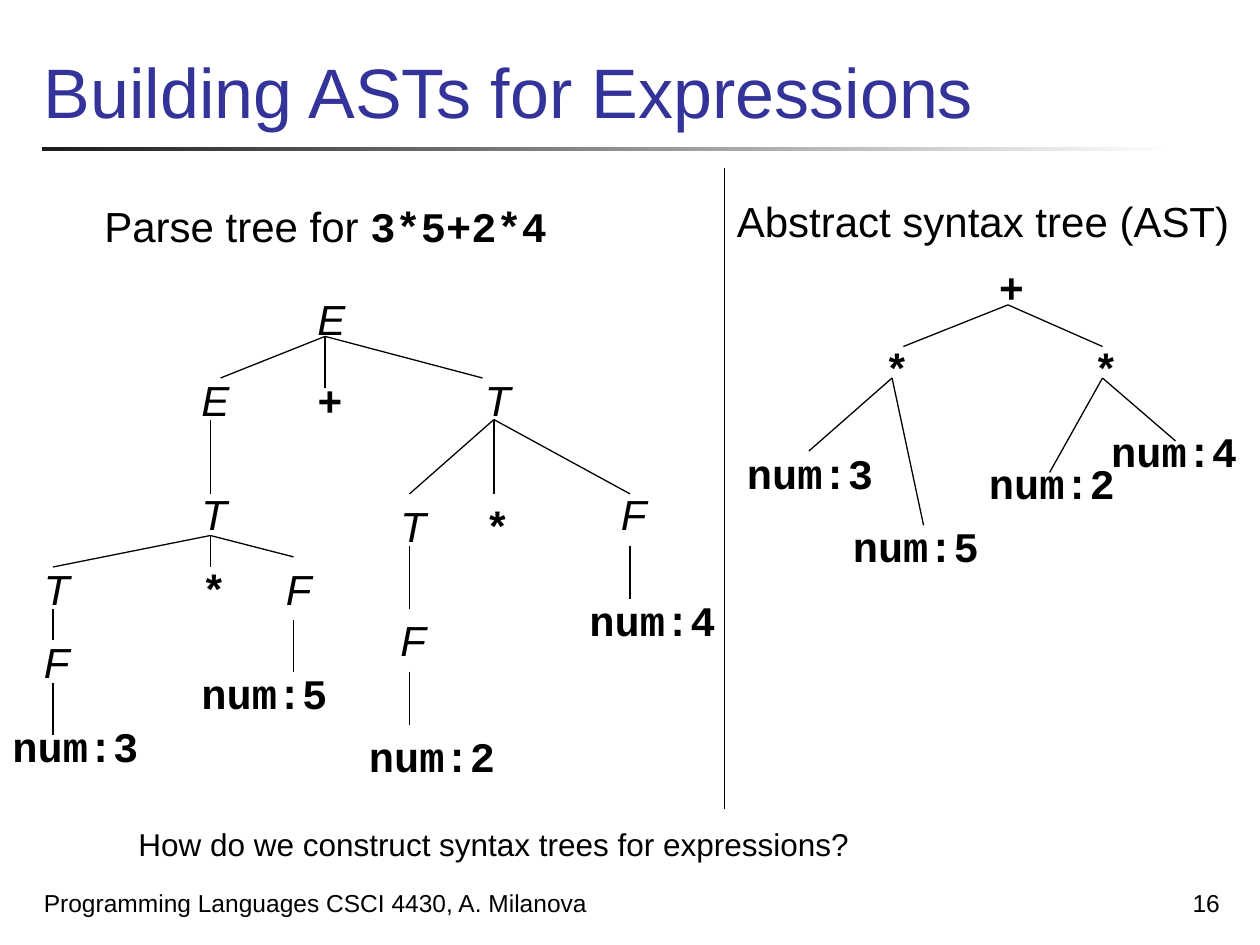
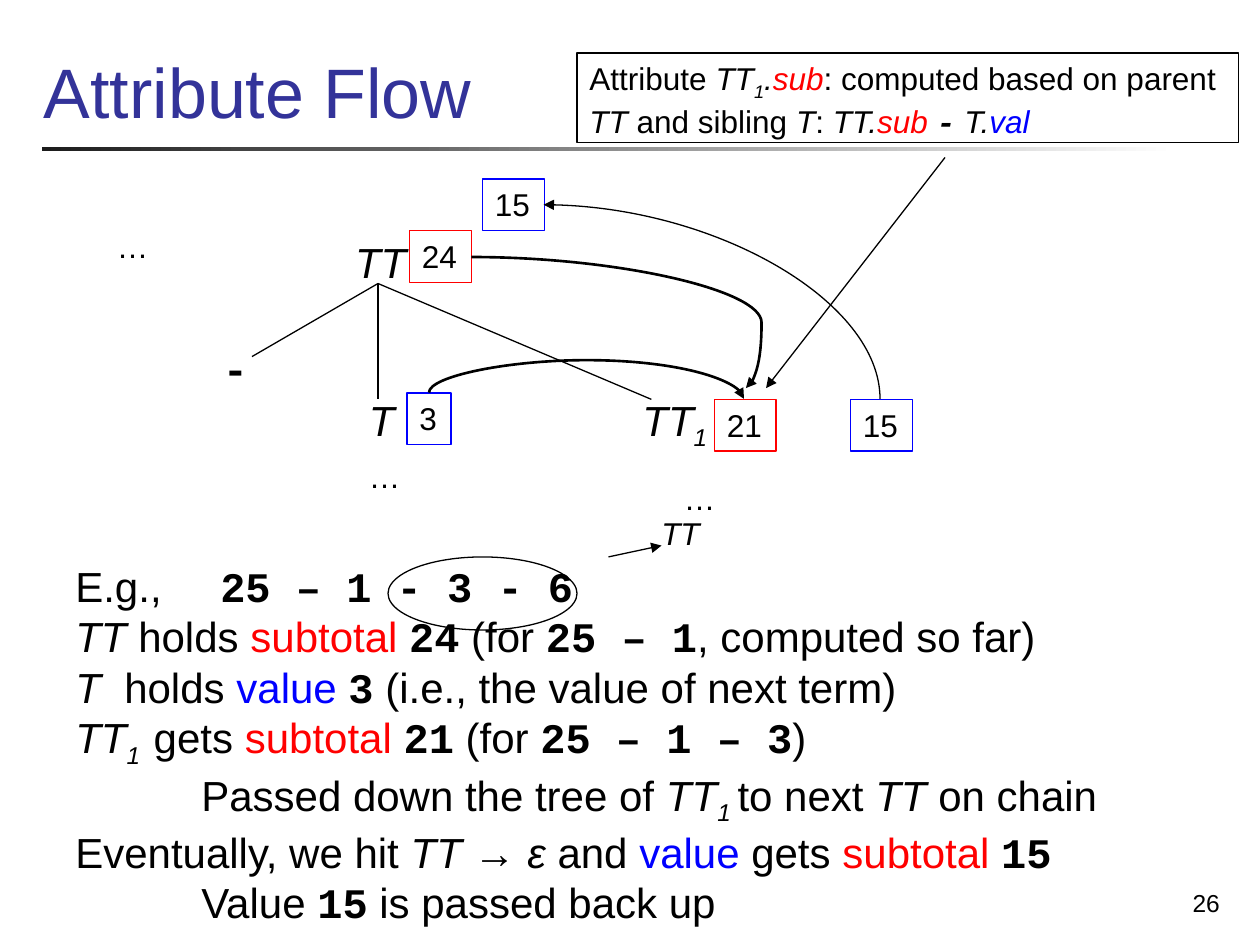
"""Build two slides on syntax trees and attribute flow."""
from dataclasses import dataclass

from lxml import etree
from pptx import Presentation
from pptx.dml.color import RGBColor
from pptx.enum import shapes, text
from pptx.oxml import ns
from pptx.util import Inches, Pt

BLACK, RED, BLUE, TITLE, RULE, WHITE = "000000", "FF0000", "0000FF", "333399", "1C1C1C", "FFFFFF"
SANS, CODE = "Arial", "Courier New"
LABEL_WIDTHS = {"E": 0.51, "T": 0.49, "F": 0.48, "+": 0.4, "*": 0.4, "-": 0.4, "TT": 0.7}
NUMBER_WIDTH = 1.21

Point = tuple[float, float]


@dataclass(frozen=True)
class Span:
    """A piece of text with its look."""
    words: str
    italic: bool = False
    code: bool = False
    sub: bool = False
    color: str = BLACK


@dataclass(frozen=True)
class Line:
    """A paragraph of spans with its indent and optional tab stop."""
    spans: list[Span]
    indent: float = 0
    tab: float = 0


@dataclass(frozen=True)
class Area:
    """A rectangle in inches."""
    left: float
    top: float
    width: float
    height: float

    def lengths(self) -> list[int]:
        """Return the four lengths for python-pptx."""
        return [Inches(side) for side in (self.left, self.top, self.width, self.height)]


@dataclass(frozen=True)
class Node:
    """A tree label at its top left corner."""
    label: str
    left: float
    top: float


@dataclass(frozen=True)
class Fan:
    """Branches from one point to several ends."""
    start: Point
    ends: list[Point]


@dataclass(frozen=True)
class ValueBox:
    """A framed attribute value."""
    value: str
    area: Area
    color: str


@dataclass(frozen=True)
class Curve:
    """A curved arrow in its unrotated frame."""
    area: Area
    preset: str
    weight: float
    turn: int = 0
    flip: str = ""
    bend: int = 0


def plain(words: str) -> Span:
    """Return upright black text."""
    return Span(words)


def slanted(words: str, color: str = BLACK) -> Span:
    """Return italic text."""
    return Span(words, italic=True, color=color)


def code(words: str) -> Span:
    """Return bold monospaced text."""
    return Span(words, code=True)


def index(words: str) -> Span:
    """Return an italic subscript."""
    return Span(words, italic=True, sub=True)


def rgb(value: str) -> RGBColor:
    """Turn a hex string into a colour."""
    return RGBColor.from_string(value)


def fill_text(shape, lines: list[Line], size: float, wrap: bool = False, grow: bool = True,
              anchor=text.MSO_ANCHOR.TOP, align=text.PP_ALIGN.LEFT) -> None:
    """Write formatted lines into a shape."""
    frame = shape.text_frame
    frame.word_wrap = wrap
    frame.auto_size = text.MSO_AUTO_SIZE.SHAPE_TO_FIT_TEXT if grow else text.MSO_AUTO_SIZE.NONE
    frame.vertical_anchor = anchor
    for number, line in enumerate(lines):
        para = frame.add_paragraph() if number else frame.paragraphs[0]
        para.alignment = align
        properties = para._p.get_or_add_pPr()
        if line.indent:
            properties.set("marL", str(Inches(line.indent)))
            properties.set("indent", "0")
        if line.tab:
            stops = etree.SubElement(properties, ns.qn("a:tabLst"))
            etree.SubElement(stops, ns.qn("a:tab"), pos=str(Inches(line.tab)), algn="l")
        for span in line.spans:
            run = para.add_run()
            run.text = span.words
            font = run.font
            font.name = CODE if span.code else SANS
            font.size, font.bold, font.italic = Pt(size), span.code, span.italic
            font.color.rgb = rgb(span.color)
            if span.sub:
                font._element.set("baseline", "-25000")


def add_text(page, area: Area, spans: list[Span], size: float, **options) -> None:
    """Add a one-paragraph text box."""
    fill_text(page.shapes.add_textbox(*area.lengths()), [Line(spans)], size, **options)


def add_outline(page, area: Area, color: str, kind=shapes.MSO_SHAPE.RECTANGLE):
    """Add an unfilled outlined shape."""
    shape = page.shapes.add_shape(kind, *area.lengths())
    shape.shadow.inherit = False
    shape.fill.background()
    shape.line.color.rgb = rgb(color)
    shape.line.width = Pt(0.75)
    return shape


def add_line(page, start: Point, end: Point, arrow: bool = False, weight: float = 0.75,
             kind=shapes.MSO_CONNECTOR.STRAIGHT):
    """Add a black connector, with an arrowhead if asked."""
    line = page.shapes.add_connector(kind, *[Inches(side) for side in (*start, *end)])
    line.line.color.rgb = rgb(BLACK)
    line.line.width = Pt(weight)
    if arrow:
        etree.SubElement(line.line._get_or_add_ln(), ns.qn("a:tailEnd"), type="triangle")
    etree.SubElement(line._element.spPr, ns.qn("a:effectLst"))
    return line


def add_curve(page, curve: Curve) -> None:
    """Add a curved arrow."""
    area = curve.area
    line = add_line(page, (area.left, area.top), (area.left + area.width, area.top + area.height),
                    True, curve.weight, shapes.MSO_CONNECTOR.CURVE)
    properties = line._element.spPr
    frame = properties.find(ns.qn("a:xfrm"))
    frame.set("rot", str(curve.turn * 60000))
    if curve.flip:
        frame.set(curve.flip, "1")
    geometry = properties.find(ns.qn("a:prstGeom"))
    geometry.set("prst", curve.preset)
    if curve.bend:
        guides = geometry.find(ns.qn("a:avLst"))
        etree.SubElement(guides, ns.qn("a:gd"), name="adj1", fmla=f"val {curve.bend}")


def add_tree(page, nodes: list[Node], fans: list[Fan]) -> None:
    """Draw the labels and branches of a tree."""
    for node in nodes:
        span = slanted(node.label) if node.label.isalpha() else code(node.label)
        width = LABEL_WIDTHS.get(node.label, NUMBER_WIDTH)
        add_text(page, Area(node.left, node.top, width, 0.51), [span], 24)
    for fan in fans:
        for end in fan.ends:
            add_line(page, fan.start, end)


def add_page(deck, title: str, number: str):
    """Add a slide with the shared title, rule and page number."""
    page = deck.slides.add_slide(deck.slide_layouts[6])
    rule = page.shapes.add_shape(shapes.MSO_SHAPE.RECTANGLE, *Area(0.33, 1.17, 9, 0.03).lengths())
    rule.shadow.inherit = False
    rule.line.fill.background()
    rule.fill.gradient()
    rule.fill.gradient_angle = 0
    for stop, color in zip(rule.fill.gradient_stops, (RULE, WHITE)):
        stop.color.rgb = rgb(color)
    bottom = {"wrap": True, "grow": False, "anchor": text.MSO_ANCHOR.BOTTOM}
    add_text(page, Area(0.25, 0, 9.52, 1.1), [Span(title, color=TITLE)], 40, **bottom)
    add_text(page, Area(7.7, 6.83, 2.08, 0.5), [plain(number)], 14,
             align=text.PP_ALIGN.RIGHT, **bottom)
    return page


def build_expressions(deck) -> None:
    """Build the slide that compares a parse tree with an AST."""
    page = add_page(deck, "Building ASTs for Expressions", "16")
    add_text(page, Area(0.25, 6.83, 5.17, 0.5),
             [plain("Programming Languages CSCI 4430, A. Milanova")], 14,
             wrap=True, grow=False, anchor=text.MSO_ANCHOR.BOTTOM)
    parse_nodes = [
        Node("E", 2.42, 2.28), Node("E", 1.5, 2.92), Node("+", 2.42, 2.92), Node("T", 3.75, 2.92),
        Node("T", 1.5, 3.83), Node("T", 3.08, 3.92), Node("*", 3.75, 3.92), Node("F", 4.83, 3.83),
        Node("T", 0.25, 4.42), Node("*", 1.5, 4.42), Node("F", 2.17, 4.42), Node("F", 0.25, 5),
        Node("F", 3.08, 4.83), Node("num:3", 0, 5.67), Node("num:5", 1.5, 5.25),
        Node("num:2", 2.83, 5.75), Node("num:4", 4.58, 4.67),
    ]
    parse_fans = [
        Fan((2.58, 2.67), [(1.75, 3), (2.58, 3.08), (3.83, 3)]),
        Fan((1.67, 3.33), [(1.67, 3.92)]),
        Fan((1.67, 4.25), [(0.42, 4.5), (1.67, 4.5), (2.33, 4.42)]),
        Fan((3.92, 3.33), [(3.25, 3.92), (3.92, 3.92), (5, 3.92)]),
        Fan((0.42, 4.83), [(0.42, 5.08)]),
        Fan((0.42, 5.42), [(0.42, 5.83)]),
        Fan((2.33, 4.92), [(2.33, 5.33)]),
        Fan((3.25, 4.33), [(3.25, 4.83)]),
        Fan((3.25, 5.33), [(3.25, 5.75)]),
        Fan((5, 4.33), [(5, 4.75)]),
    ]
    syntax_nodes = [
        Node("+", 7.83, 2.03), Node("*", 6.92, 2.67), Node("*", 8.58, 2.67),
        Node("num:3", 5.83, 3.5), Node("num:5", 6.67, 4.08),
        Node("num:2", 7.75, 3.58), Node("num:4", 8.72, 3.33),
    ]
    syntax_fans = [
        Fan((8, 2.42), [(7.17, 2.75), (8.75, 2.75)]),
        Fan((7.08, 3), [(6.42, 3.58), (7.33, 4.17)]),
        Fan((8.75, 3), [(8.33, 3.75), (9.33, 3.5)]),
    ]
    add_tree(page, parse_nodes, parse_fans)
    add_tree(page, syntax_nodes, syntax_fans)
    add_line(page, (5.75, 1.33), (5.75, 6.42))
    add_text(page, Area(0.73, 1.54, 3.75, 0.51), [plain("Parse tree for "), code("3*5+2*4")], 24)
    add_text(page, Area(5.75, 1.5, 4.26, 0.51), [plain("Abstract syntax tree (AST)")], 24)
    add_text(page, Area(1, 6.5, 5.9, 0.4),
             [plain("How do we construct syntax trees for expressions?")], 18)


def build_flow(deck) -> None:
    """Build the slide that traces attribute values through a tree."""
    page = add_page(deck, "Attribute Flow", "26")
    add_tree(page, [Node("TT", 2.72, 1.83), Node("T", 2.83, 3.08), Node("-", 1.67, 2.67)],
             [Fan((3, 2.25), [(2, 2.83), (3, 3.17), (5.17, 3.17)])])
    add_text(page, Area(5, 3.08, 0.81, 0.51), [slanted("TT"), index("1")], 24)
    subtotal = Span("subtotal ", color=RED)
    story = [
        Line([plain("E.g.,\t"), code("25 – 1 - 3 - 6")], tab=1.15),
        Line([slanted("TT"), plain(" holds "), subtotal, code("24"), plain(" (for "),
              code("25 – 1"), plain(", computed so far)")]),
        Line([slanted("T"), plain("  holds "), Span("value ", color=BLUE), code("3"),
              plain(" (i.e., the value of next term)")]),
        Line([slanted("TT"), index("1  "), plain("gets "), subtotal, code("21"), plain(" (for "),
              code("25 – 1 – 3"), plain(")")]),
        Line([plain("Passed down the tree of "), slanted("TT"), index("1 "), plain("to next "),
              slanted("TT"), plain(" on chain")], indent=1),
        Line([plain("Eventually, we hit "), slanted("TT → ε"), plain(" and "),
              Span("value", color=BLUE), plain(" gets "), subtotal, code("15")]),
        Line([plain("Value "), code("15"), plain(" is passed back up")], indent=1),
    ]
    body = page.shapes.add_textbox(*Area(0.5, 4.4, 9.17, 2.93).lengths())
    fill_text(body, story, 24, wrap=True)
    for left, top in [(0.83, 1.75), (2.83, 3.58), (5.33, 3.75)]:
        add_text(page, Area(left, top, 0.45, 0.4), [plain("…")], 18)
    for box in [
        ValueBox("3", Area(3.23, 3.12, 0.35, 0.41), BLUE),
        ValueBox("24", Area(3.25, 1.83, 0.49, 0.41), RED),
        ValueBox("21", Area(5.67, 3.17, 0.49, 0.41), RED),
        ValueBox("15", Area(6.75, 3.17, 0.49, 0.41), BLUE),
        ValueBox("15", Area(3.83, 1.42, 0.49, 0.41), BLUE),
    ]:
        fill_text(add_outline(page, box.area, box.color), [Line([plain(box.value)])], 18)
    rule = [plain("Attribute "), slanted("TT"), index("1"), slanted("."), slanted("sub", RED),
            plain(": computed based on parent "), slanted("TT"), plain(" and sibling "),
            slanted("T"), plain(": "), slanted("TT."), slanted("sub ", RED),
            Span("-", italic=True, code=True), slanted(" T."), slanted("val", BLUE)]
    fill_text(add_outline(page, Area(4.58, 0.42, 5.25, 0.71), BLACK), [Line(rule)], 18, wrap=True)
    for curve in [
        Curve(Area(3.74, 2.04, 2.18, 1.04), "curvedConnector3", 1.5, bend=105700),
        Curve(Area(4.63, 1.89, 0.05, 2.5), "curvedConnector3", 1.5, 90, "flipV", -514300),
        Curve(Area(4.88, 1.06, 1.54, 2.67), "curvedConnector2", 0.75, 90, "flipH"),
    ]:
        add_curve(page, curve)
    add_line(page, (7.5, 1.25), (6.08, 3.08), arrow=True)
    add_outline(page, Area(3.08, 4.42, 1.5, 0.58), BLACK, shapes.MSO_SHAPE.OVAL)
    add_line(page, (4.83, 4.42), (5.25, 4.33), arrow=True)
    add_text(page, Area(5.15, 4.03, 0.57, 0.4), [slanted("TT")], 18)


deck = Presentation()
deck.slide_width, deck.slide_height = Inches(10), Inches(7.5)
build_expressions(deck)
build_flow(deck)
deck.save("out.pptx")
